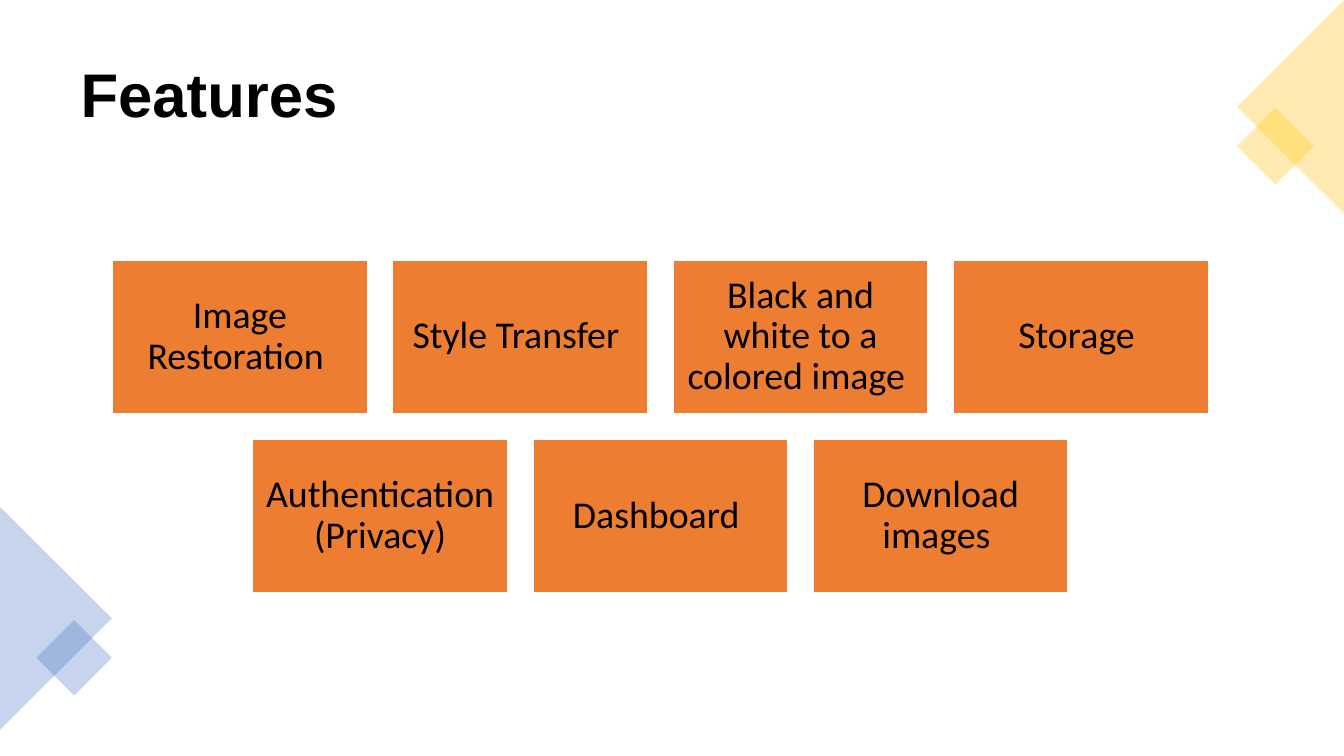
from lxml import etree
from pptx import Presentation
from pptx.dml.color import RGBColor
from pptx.enum.shapes import MSO_SHAPE
from pptx.enum.text import MSO_ANCHOR, PP_ALIGN
from pptx.oxml.ns import qn
from pptx.util import Inches, Pt

RECT, TRIANGLE = MSO_SHAPE.RECTANGLE, MSO_SHAPE.ISOSCELES_TRIANGLE
MIDDLE = MSO_ANCHOR.MIDDLE
LEFT, CENTER = PP_ALIGN.LEFT, PP_ALIGN.CENTER

COLORS = {"text": "000000", "card": "ED7D31", "border": "FFFFFF",
          "blue": "4472C4", "yellow": "FFC000"}
TITLE_ONLY = 5

FEATURE_ROWS = [
    ["Image Restoration ", "Style Transfer ",
     "Black and white to a colored image ", "Storage "],
    ["Authentication (Privacy)", "Dashboard ", "Download images "],
]
CARD_W, CARD_H, GAP = 2.53, 1.52, 0.25
ROWS_CENTER, ROWS_TOP, ROW_STEP = 6.55, 2.58, 1.78

# kind, left, top, width, height, rotation, color
CORNER_SHAPES = [
    (TRIANGLE, -0.55, 5.58, 2.21, 1.11, 90, "blue"),
    (RECT, 0.47, 6.26, 0.53, 0.53, 45, "blue"),
    (RECT, 12.38, 1.18, 0.54, 0.54, 45, "yellow"),
    (TRIANGLE, 11.74, 0.53, 2.12, 1.06, 270, "yellow"),
]


class Deck:
    """Holds the presentation, its style and the current slide."""

    def __init__(self):
        self.prs = Presentation()
        self.prs.slide_width, self.prs.slide_height = Inches(13.33), Inches(7.5)
        self.s = self.prs.slides.add_slide(self.prs.slide_layouts[TITLE_ONLY])

    def color(self, name):
        return RGBColor.from_string(COLORS[name])

    def add_text(self, tf, text, font, size, align, bold=False):
        tf.word_wrap = True
        tf.vertical_anchor = MIDDLE
        p = tf.paragraphs[0]
        p.alignment = align
        p.line_spacing = 0.9
        r = p.add_run()
        r.text = text
        r.font.name, r.font.size, r.font.bold = font, Pt(size), bold
        r.font.color.rgb = self.color("text")

    def title(self, text):
        sp = self.s.shapes.title
        sp.left, sp.top = Inches(0.7), Inches(0.35)
        sp.width, sp.height = Inches(11.93), Inches(1.24)
        self.add_text(sp.text_frame, text, "Arial", 44, LEFT, bold=True)

    def shape(self, kind, left, top, width, height, color):
        sp = self.s.shapes.add_shape(
            kind, Inches(left), Inches(top), Inches(width), Inches(height))
        sp.shadow.inherit = False
        sp.fill.solid()
        sp.fill.fore_color.rgb = self.color(color)
        sp.line.fill.background()
        return sp

    def card(self, left, top, text):
        sp = self.shape(RECT, left, top, CARD_W, CARD_H, "card")
        sp.line.color.rgb = self.color("border")
        sp.line.width = Pt(1)
        tf = sp.text_frame
        tf.margin_left = tf.margin_right = Inches(0.11)
        tf.margin_top = tf.margin_bottom = Inches(0.11)
        self.add_text(tf, text, "Calibri", 27, CENTER)

    def corner(self, kind, left, top, width, height, rotation, color):
        """Add a turned corner ornament at 30 % opacity."""
        sp = self.shape(kind, left, top, width, height, color)
        sp.rotation = rotation
        srgb = sp.element.spPr.find(qn("a:solidFill")).find(qn("a:srgbClr"))
        etree.SubElement(srgb, qn("a:alpha")).set("val", "30000")


def main():
    deck = Deck()
    deck.title("Features")
    for row, features in enumerate(FEATURE_ROWS):
        row_width = len(features) * (CARD_W + GAP) - GAP
        left = ROWS_CENTER - row_width / 2
        for col, feature in enumerate(features):
            deck.card(left + col * (CARD_W + GAP),
                      ROWS_TOP + row * ROW_STEP, feature)
    for ornament in CORNER_SHAPES:
        deck.corner(*ornament)
    deck.prs.save("out.pptx")


if __name__ == "__main__":
    main()
